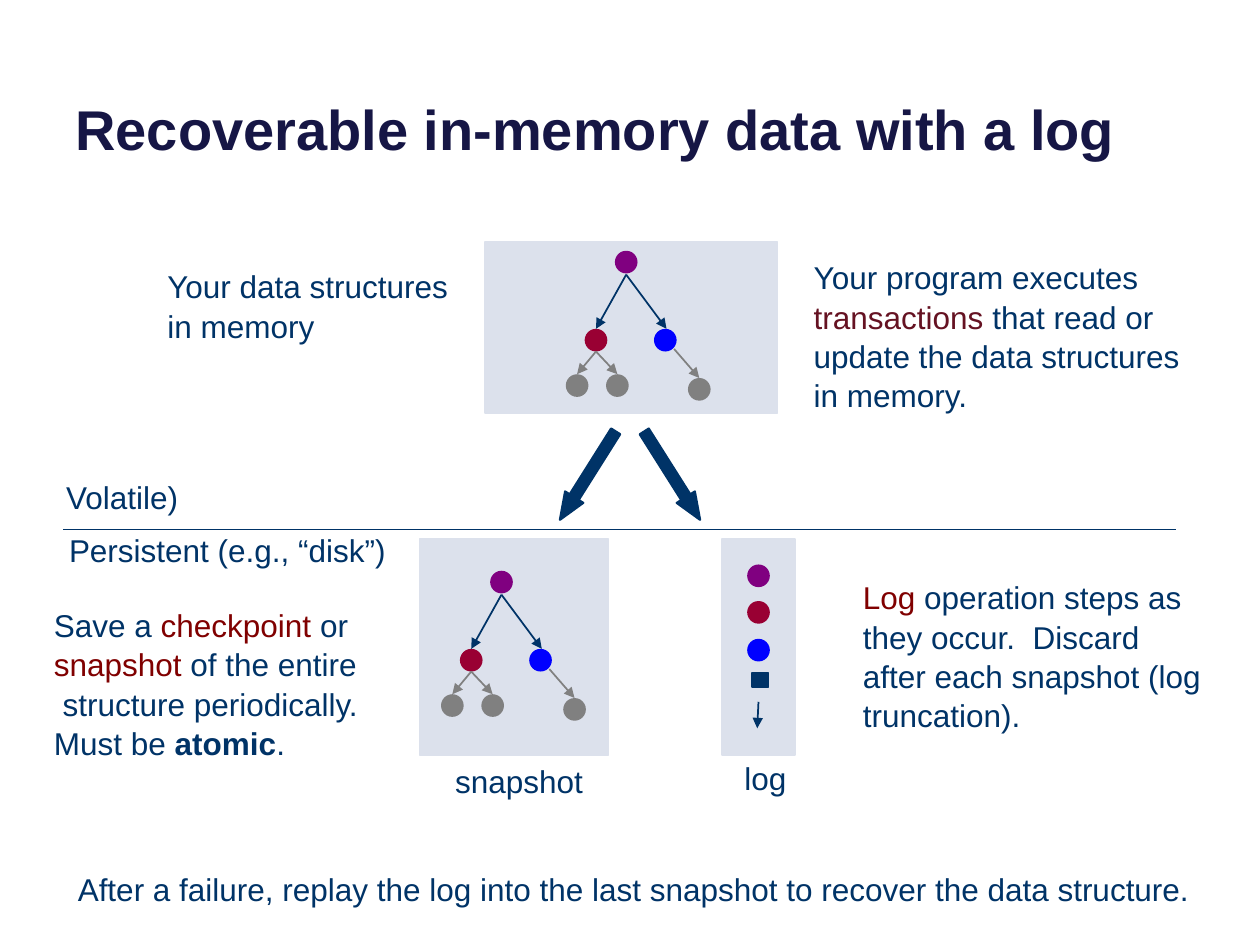
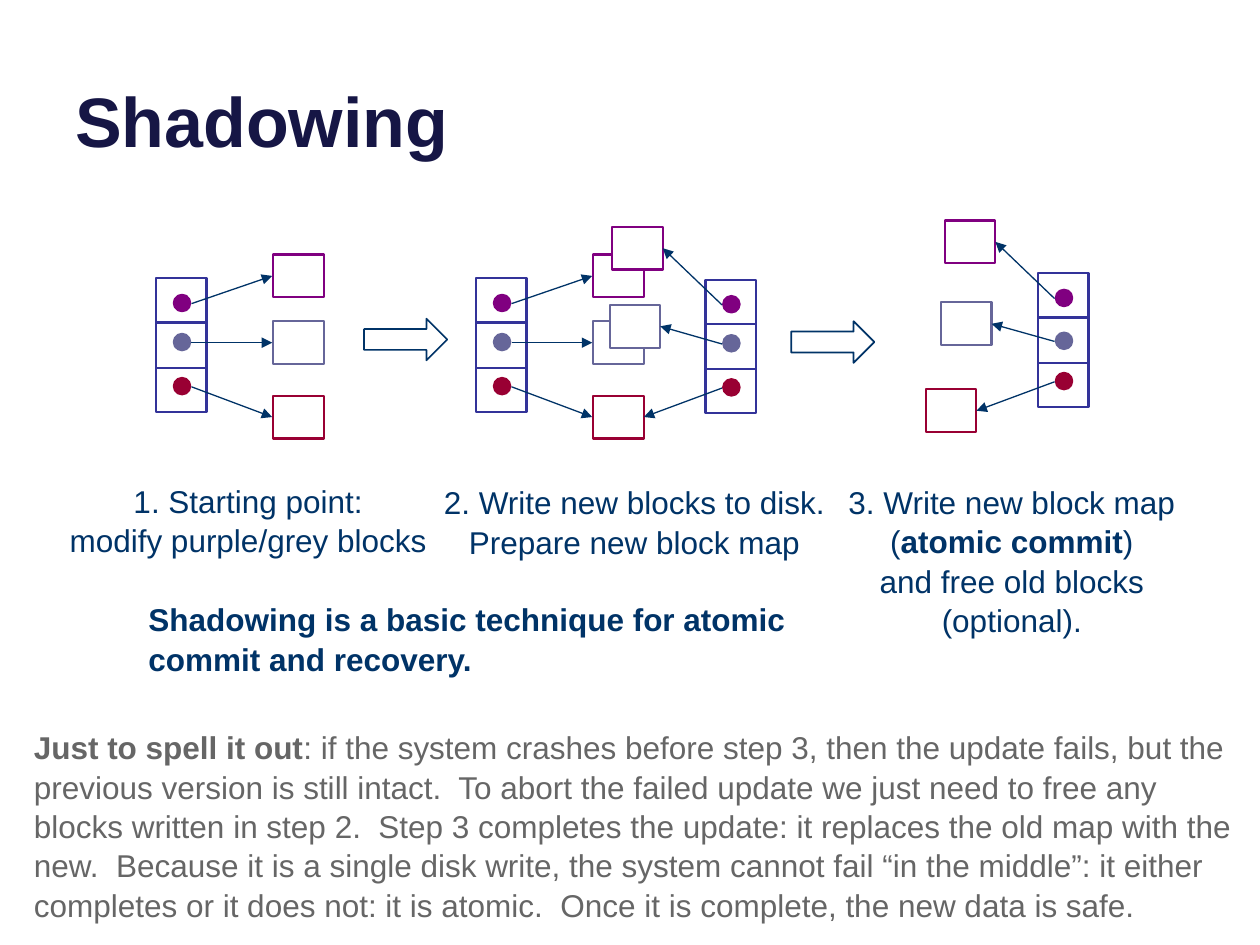
from lxml import etree
from pptx import Presentation
from pptx import util as u
from pptx.dml import color
from pptx.enum import shapes, text
from pptx.oxml import ns

PX = u.Inches(1) // 100
NAVY, TITLE, PANEL, WHITE = "003367", "161645", "DCE1EC", "FFFFFF"
PURPLE, BLUE, RED, GREY = "800080", "0000FF", "990033", "808080"
SLATE, FRAME, MAROON, WINE, NOTE = "666699", "333399", "800000", "651222", "666666"
HUES = PURPLE, SLATE, RED
KIND = shapes.MSO_SHAPE
CENTER, MIDDLE = text.PP_ALIGN.CENTER, text.MSO_ANCHOR.MIDDLE


def rgb(code):
    return color.RGBColor.from_string(code)


class Deck:
    font = "Arial"

    def __init__(self):
        self.prs = Presentation()
        self.prs.slide_width, self.prs.slide_height = 1000 * PX, 750 * PX
        self.items = None

    def slide(self, title, size):
        self.items = self.prs.slides.add_slide(self.prs.slide_layouts[6]).shapes
        self.text((50, -37, 900, 170), title, size=size, hue=TITLE, bold=True,
                  anchor=text.MSO_ANCHOR.BOTTOM, pitch=1)

    def text(self, box, *paras, size=18, hue=NAVY, bold=False, align=None,
             anchor=text.MSO_ANCHOR.TOP, wrap=True, pitch=1.04):
        """Each para is a string or a list of runs; a run is a string or
        (string, format), and "\n" alone is a line break."""
        frame = self.items.add_textbox(*(n * PX for n in box)).text_frame
        frame.word_wrap, frame.vertical_anchor = wrap, anchor
        for i, para in enumerate(paras):
            p = frame.add_paragraph() if i else frame.paragraphs[0]
            p.alignment, p.line_spacing = align, pitch
            for part in [para] if isinstance(para, str) else para:
                if part == "\n":
                    p.add_line_break()
                    continue
                words, form = (part, {}) if isinstance(part, str) else part
                run = p.add_run()
                run.text = words
                run.font.name, run.font.size = self.font, u.Pt(size)
                run.font.bold = form.get("bold", bold)
                run.font.color.rgb = rgb(form.get("hue", hue))

    def label(self, box, *paras):
        self.text(box, *paras, align=CENTER, anchor=MIDDLE, wrap=False)

    def shape(self, kind, box, fill=None, line=None, width=1.25, turn=0, adj=()):
        item = self.items.add_shape(kind, *(n * PX for n in box))
        item.shadow.inherit = False
        item.rotation = turn
        for i, value in enumerate(adj):
            item.adjustments[i] = value
        if fill:
            item.fill.solid()
            item.fill.fore_color.rgb = rgb(fill)
        else:
            item.fill.background()
        if line:
            item.line.color.rgb = rgb(line)
            item.line.width = u.Pt(width)
        else:
            item.line.fill.background()

    def panel(self, *box):
        self.shape(KIND.RECTANGLE, box, PANEL, PANEL, 1)

    def dot(self, x, y, hue, size=18, line=None):
        self.shape(KIND.OVAL, (x, y, size, size), hue, line)

    def line(self, start, end, hue=NAVY, width=1.0, head=True):
        item = self.items.add_connector(shapes.MSO_CONNECTOR.STRAIGHT,
                                        *(n * PX for n in (*start, *end)))
        item.line.color.rgb = rgb(hue)
        item.line.width = u.Pt(width)
        if head:
            etree.SubElement(item.line._get_or_add_ln(), ns.qn("a:tailEnd"), type="triangle")
        etree.SubElement(item._element.spPr, ns.qn("a:effectLst"))

    def tree(self, x, y):
        """Draw the node tree with the corner of its root at x, y."""
        nodes = ((0, 0, PURPLE), (31, 62, BLUE), (-24, 62, RED),
                 (-7, 98, GREY), (-39, 98, GREY), (58, 101, GREY))
        for dx, dy, hue in nodes:
            self.dot(x + dx, y + dy, hue)
        edges = ((9, 19, 41, 62, NAVY), (9, 19, -15, 62, NAVY), (-15, 80, 2, 98, GREY),
                 (-15, 80, -30, 98, GREY), (47, 78, 67, 101, GREY))
        for ax, ay, bx, by, hue in edges:
            self.line((x + ax, y + ay), (x + bx, y + by), hue)

    def blocks(self, spots):
        for spot, hue in zip(spots, HUES):
            self.shape(KIND.RECTANGLE, (*spot, 40, 34), WHITE, hue)

    def map(self, x, y, spots, mid=44):
        """Draw a block map at x, y whose entries point to the blocks at spots."""
        self.shape(KIND.RECTANGLE, (x, y, 40, 106), WHITE, FRAME)
        for dy in (35, 71):
            self.line((x, y + dy), (x + 40, y + dy), FRAME, 1.25, head=False)
        for (bx, by), hue, dy in zip(spots, HUES, (13, mid, 79)):
            self.dot(x + 14, y + dy, hue, 13, hue)
            start, end = (x + 28, bx - 1) if bx > x else (x + 13, bx + 40)
            self.line((start, y + dy + 7), (end, by + 17), width=0.75)


def recovery(deck):
    deck.slide("Recoverable in-memory data with a log", 32)
    deck.panel(385, 192, 232, 136)
    deck.panel(333, 428, 150, 171)
    deck.panel(573, 428, 58, 171)
    deck.tree(488, 199)
    deck.tree(389, 453)
    for x, turn in ((525, 327.7), (458, 32.2)):
        deck.shape(KIND.DOWN_ARROW, (x, 336, 17, 83), NAVY, NAVY, turn=turn, adj=(0.5, 1.25))
    for i, hue in enumerate((PURPLE, RED, BLUE)):
        deck.dot(593, 448 + 29 * i + i // 2, hue)
    deck.shape(KIND.RECTANGLE, (597, 534, 13, 11), NAVY, NAVY, 1)
    deck.line((602, 557), (601, 578))
    deck.line((50, 420), (933, 420), width=0.75, head=False)

    deck.label((575, 591, 65, 51), "log")
    deck.label((333, 594, 158, 51), "snapshot")
    deck.label((42, 374, 110, 40), "Volatile)")
    deck.label((43, 416, 275, 40), "Persistent (e.g., “disk”)")
    deck.label((50, 685, 906, 40), "After a failure, replay the log into the last snapshot "
               "to recover the data structure.")
    deck.text((123, 206, 267, 71), "Your data structures in memory")
    deck.text((636, 199, 314, 131), [
        "Your program executes ", ("transactions ", {"hue": WINE}),
        "that read or update the data structures in memory."])
    deck.text((33, 475, 267, 131), [
        "Save a ", ("checkpoint", {"hue": MAROON}), " or ", ("snapshot", {"hue": MAROON}),
        " of the entire", "\n", " structure periodically. Must be ",
        ("atomic", {"bold": True}), "."])
    deck.text((675, 453, 292, 131), [
        ("Log", {"hue": MAROON}),
        " operation steps as they occur.  Discard after each snapshot (log truncation)."])


def shadowing(deck):
    deck.slide("Shadowing", 40)
    first = (217, 202), (217, 255), (217, 314)
    old = [(x + 254, y) for x, y in first]
    new = (486, 180), (484, 242), old[2]
    final = (750, 175), (747, 240), (735, 309)
    for spots in (first, old, new[:2], final):
        deck.blocks(spots)
    deck.map(124, 221, first)
    deck.map(378, 221, old)
    deck.map(560, 222, new)
    deck.map(824, 217, final, mid=47)
    for x, y in ((289, 253), (628, 255)):
        deck.shape(KIND.RIGHT_ARROW, (x, y, 66, 33), line=NAVY, width=1, adj=(0.5, 0.5))

    deck.label((40, 377, 314, 71), "1. Starting point:", "modify purple/grey blocks")
    deck.label((341, 378, 325, 71), "2. Write new blocks to disk.", "Prepare new block map")
    deck.label((662, 379, 282, 131), "3. Write new block map",
               ["(", ("atomic commit", {"bold": True}), ")"],
               "and free old blocks", "(optional).")
    deck.text((108, 471, 542, 71), "Shadowing is a basic technique for atomic commit "
              "and recovery.", bold=True, anchor=MIDDLE)
    deck.text((17, 572, 975, 162), [
        ("Just to spell it out", {"bold": True}),
        ": if the system crashes before step 3, then the update fails, but the previous "
        "version is still intact.  To abort the failed update we just need to free any "
        "blocks written in step 2.  Step 3 completes the update: it replaces the old map "
        "with the new.  Because it is a single disk write, the system cannot fail “in the "
        "middle”: it either completes or it does not: it is atomic.  Once it is complete, "
        "the new data is safe."], hue=NOTE)


def main():
    deck = Deck()
    recovery(deck)
    shadowing(deck)
    deck.prs.save("out.pptx")


if __name__ == "__main__":
    main()
